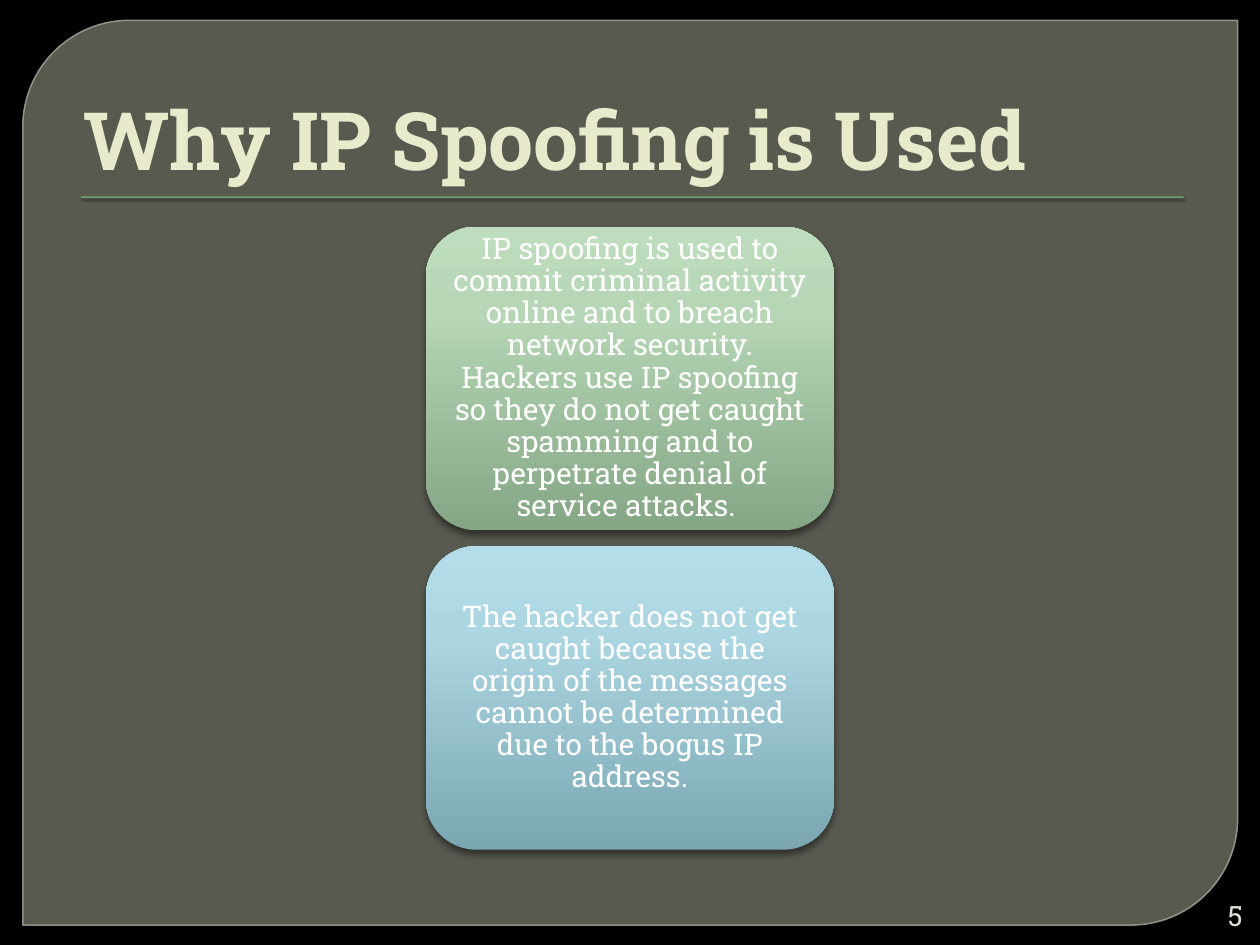
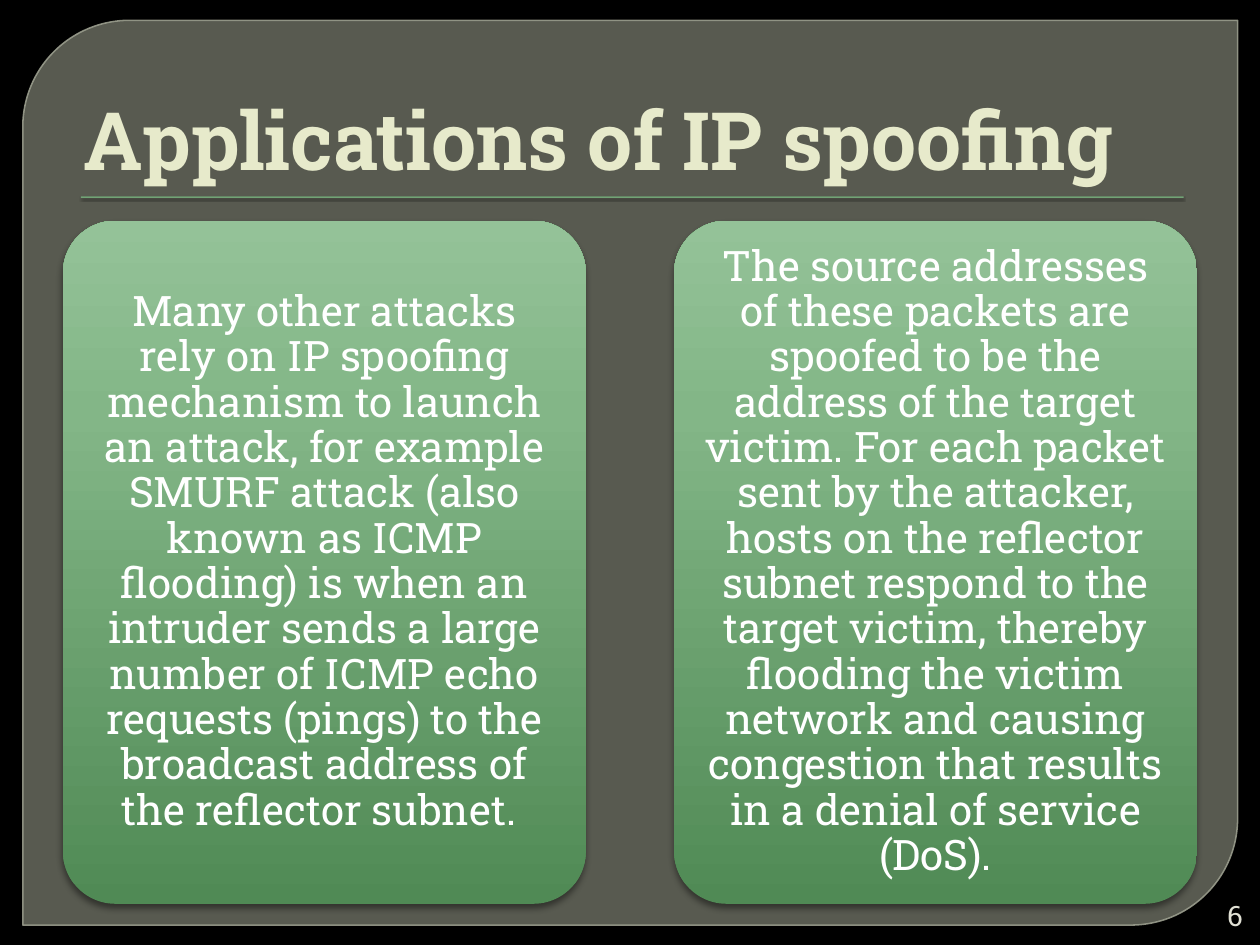
"""Two pages on IP spoofing: gradient cards on a dark rounded panel."""
from pptx import Presentation
from pptx import util as u
from pptx.dml.color import RGBColor
from pptx.enum import shapes, text
from pptx.oxml import parse_xml
from pptx.oxml.ns import nsdecls, qn

FONT = "Roboto Slab"
BLACK = RGBColor(0x00, 0x00, 0x00)
WHITE = RGBColor(0xFF, 0xFF, 0xFF)
PANEL = RGBColor(0x88, 0x8B, 0x7B)
PANEL_EDGE = RGBColor(0x9D, 0xA0, 0x90)
RULE = RGBColor(0x72, 0xA3, 0x76)
TITLE = RGBColor(0xE7, 0xEA, 0xCB)
NUMBER = RGBColor(0xE0, 0xE0, 0xD4)

# Card gradients from bottom to top, with stops at STOPS percent
STOPS = (0, 72, 100)
SAGE = (RGBColor(0x85, 0xA7, 0x85), RGBColor(0xB6, 0xD6, 0xB6), RGBColor(0xBE, 0xDD, 0xBE))
SKY = (RGBColor(0x7B, 0xA7, 0xB3), RGBColor(0xAC, 0xD7, 0xE2), RGBColor(0xB4, 0xDD, 0xE9))
GREEN = (RGBColor(0x50, 0x8A, 0x55), RGBColor(0x83, 0xB6, 0x87), RGBColor(0x94, 0xC2, 0x98))

PAGE_WIDTH, PAGE_HEIGHT = 25.4, 19.05

WHY_USED = (
    "IP spoofing is used to commit criminal activity online and to breach network "
    "security. Hackers use IP spoofing so they do not get caught spamming and to "
    "perpetrate denial of service attacks. ")
NOT_CAUGHT = (
    "The hacker does not get caught because the origin of the messages cannot be "
    "determined due to the bogus IP address.")
SMURF = (
    "Many other attacks rely on IP spoofing mechanism to launch an attack, for example "
    "SMURF attack (also known as ICMP flooding) is when an intruder sends a large number "
    "of ICMP echo requests (pings) to the broadcast address of the reflector subnet. ")
REFLECTOR = (
    "The source addresses of these packets are spoofed to be the address of the target "
    "victim. For each packet sent by the attacker, hosts on the reflector subnet respond "
    "to the target victim, thereby flooding the victim network and causing congestion "
    "that results in a denial of service (DoS).")


def set_opacity(color_format_parent, percent):
    """Make the solid colour below an XML element partly transparent."""
    color = color_format_parent.find(".//" + qn("a:srgbClr"))
    color.append(parse_xml(f'<a:alpha {nsdecls("a")} val="{percent * 1000}"/>'))


def set_shadow(shape, opacity, blur, distance):
    """Give a shape a black shadow that falls straight down."""
    shape.shadow.inherit = False
    effects = shape._element.spPr.find(qn("a:effectLst"))
    effects.append(parse_xml(
        f'<a:outerShdw {nsdecls("a")} blurRad="{u.Pt(blur)}" dist="{u.Pt(distance)}" '
        f'dir="5400000" rotWithShape="0"><a:srgbClr val="{BLACK}">'
        f'<a:alpha val="{opacity * 1000}"/></a:srgbClr></a:outerShdw>'))


def set_gradient(shape, colors):
    """Fill a shape with a gradient that runs from bottom to top."""
    shape.fill.gradient()
    shape.fill.gradient_angle = 90
    stops = shape._element.spPr.find(".//" + qn("a:gsLst"))
    for stop in list(stops):
        stops.remove(stop)
    for position, color in zip(STOPS, colors):
        stops.append(parse_xml(
            f'<a:gs {nsdecls("a")} pos="{position * 1000}"><a:srgbClr val="{color}"/></a:gs>'))


def add_span(para, words, size, color, bold=False):
    """Add one formatted run to a paragraph."""
    span = para.add_run()
    span.text = words
    span.font.name = FONT
    span.font.size = u.Pt(size)
    span.font.bold = bold
    span.font.color.rgb = color


def add_shape(page, kind, left, top, width, height):
    """Add a preset shape, measured in centimetres."""
    return page.shapes.add_shape(kind, u.Cm(left), u.Cm(top), u.Cm(width), u.Cm(height))


def dress_layout(layout, page):
    """Put the background, panel and title rule on the layout all pages use."""
    layout.background.fill.solid()
    layout.background.fill.fore_color.rgb = BLACK

    panel = add_shape(page, shapes.MSO_SHAPE.ROUND_2_DIAG_RECTANGLE, 0.46, 0.41, 24.49, 18.24)
    panel.adjustments[0] = 0.118
    panel.adjustments[1] = 0
    panel.shadow.inherit = False
    panel.fill.solid()
    panel.fill.fore_color.rgb = PANEL
    set_opacity(panel._element.spPr.find(qn("a:solidFill")), 65)
    panel.line.color.rgb = PANEL_EDGE
    panel.line.width = u.Pt(0.87)
    set_opacity(panel._element.spPr.find(qn("a:ln")), 88)

    rule = add_shape(page, shapes.MSO_SHAPE.RECTANGLE, 1.63, 3.96, 22.23, 0.03)
    rule.fill.solid()
    rule.fill.fore_color.rgb = RULE
    rule.line.fill.background()
    set_shadow(rule, 75, 1, 1)

    # Shapes can only be drawn on a page, so move them behind the placeholders
    for index, shape in enumerate((panel, rule)):
        layout.shapes._spTree.insert(2 + index, shape._element)


def add_title(page, words):
    """Place and fill the title placeholder."""
    title = page.shapes.title
    title.left, title.top = u.Cm(1.27), u.Cm(0.71)
    title.width, title.height = u.Cm(22.86), u.Cm(3.18)
    frame = title.text_frame
    frame.auto_size = text.MSO_AUTO_SIZE.NONE
    frame.vertical_anchor = text.MSO_ANCHOR.BOTTOM
    frame.margin_left = u.Cm(0.41)
    para = frame.paragraphs[0]
    para.alignment = text.PP_ALIGN.LEFT
    add_span(para, words, 46, TITLE, bold=True)


def add_number(page, number):
    """Write the page number in the bottom right corner."""
    box = page.shapes.add_textbox(u.Cm(24), u.Cm(18.08), u.Cm(1.3), u.Cm(0.76))
    frame = box.text_frame
    frame.word_wrap = True
    frame.vertical_anchor = text.MSO_ANCHOR.MIDDLE
    para = frame.paragraphs[0]
    para.alignment = text.PP_ALIGN.RIGHT
    add_span(para, str(number), 16, NUMBER)


def add_card(page, place, rounding, colors, words, size, insets):
    """Add a rounded gradient card with centred text."""
    card = add_shape(page, shapes.MSO_SHAPE.ROUNDED_RECTANGLE, *place)
    card.adjustments[0] = rounding
    set_gradient(card, colors)
    card.line.fill.background()
    set_shadow(card, 43, 4, 3)
    frame = card.text_frame
    frame.word_wrap = True
    frame.vertical_anchor = text.MSO_ANCHOR.MIDDLE
    across, down = insets
    frame.margin_left = frame.margin_right = u.Cm(across)
    frame.margin_top = frame.margin_bottom = u.Cm(down)
    para = frame.paragraphs[0]
    para.alignment = text.PP_ALIGN.CENTER
    para.line_spacing = 0.9
    add_span(para, words, size, WHITE)


def add_stack(page, cards):
    """Stack cards in one centred column."""
    width, height, gap = 8.23, 6.12, 0.32
    left = (PAGE_WIDTH - width) / 2
    for index, (colors, words) in enumerate(cards):
        place = (left, 4.57 + index * (height + gap), width, height)
        add_card(page, place, 0.1667, colors, words, 17, (0.18, 0.1))


def add_row(page, cards):
    """Set cards side by side, centred on the page."""
    width, height, gap = 10.54, 13.77, 1.78
    left = (PAGE_WIDTH - len(cards) * width - (len(cards) - 1) * gap) / 2
    for index, (colors, words) in enumerate(cards):
        place = (left + index * (width + gap), 4.45, width, height)
        add_card(page, place, 0.1, colors, words, 24, (0.25, 0.25))


def main():
    """Build and save the deck."""
    deck = Presentation()
    deck.slide_width, deck.slide_height = u.Cm(PAGE_WIDTH), u.Cm(PAGE_HEIGHT)
    layout = deck.slide_layouts.get_by_name("Title Only")
    pages = (
        ("Why IP Spoofing is Used", add_stack, ((SAGE, WHY_USED), (SKY, NOT_CAUGHT))),
        ("Applications of IP spoofing", add_row, ((GREEN, SMURF), (GREEN, REFLECTOR))),
    )
    for number, (title, add_cards, cards) in enumerate(pages, start=5):
        page = deck.slides.add_slide(layout)
        if len(deck.slides) == 1:
            dress_layout(layout, page)
        add_title(page, title)
        add_cards(page, cards)
        add_number(page, number)
    deck.save("out.pptx")


main()
